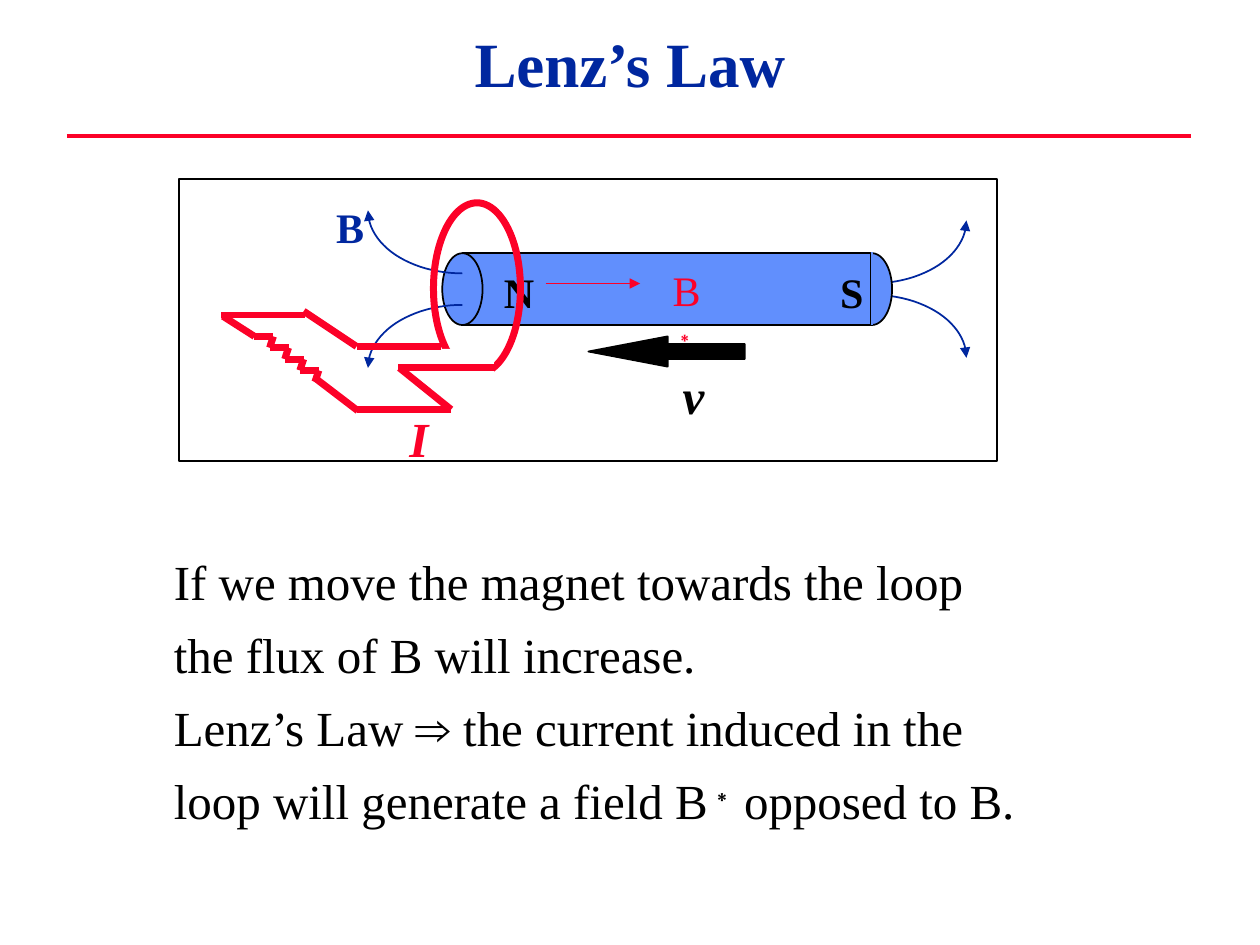
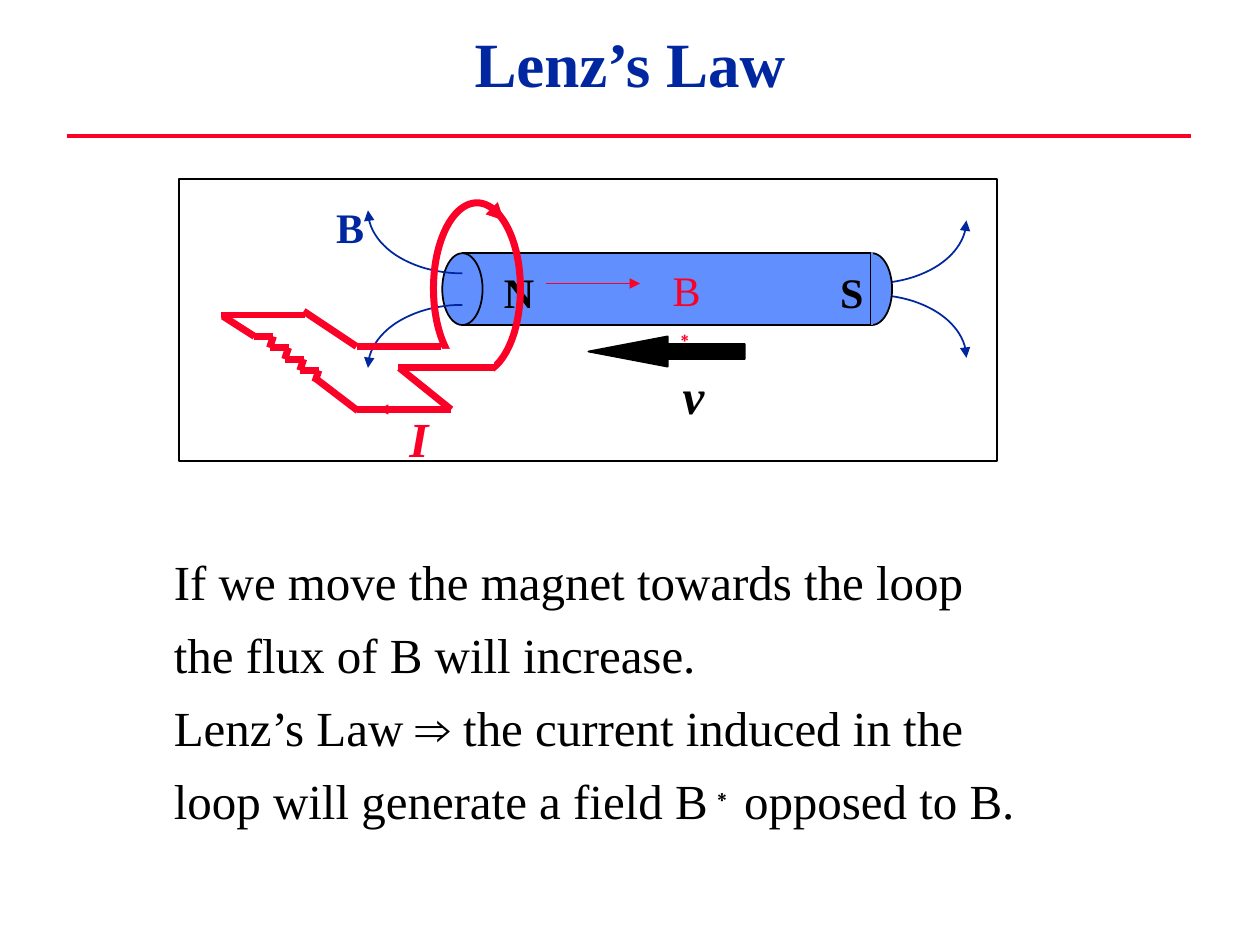
from math import cos, pi, sin
from itertools import pairwise

from lxml.etree import SubElement
from pptx import Presentation
from pptx.dml.color import RGBColor
from pptx.enum.shapes import MSO_CONNECTOR, MSO_SHAPE as SHAPE
from pptx.enum.text import MSO_ANCHOR as ANCHOR, MSO_AUTO_SIZE as FIT, PP_ALIGN as ALIGN
from pptx.oxml.ns import qn
from pptx.util import Pt

PX = 9144
COLORS = {"navy": "00279F", "red": "FC0128", "blue": "618FFD", "black": "000000", "white": "FFFFFF"}
SERIF, SANS = "Times New Roman", "Arial"
WIRE = 4

BODY = [
    [("If we move the magnet towards the loop", {})],
    [("the flux of B will increase.", {})],
    [("Lenz’s Law ", {}), ("⇒", {"font": SANS}), (" the current induced in the", {})],
    [("loop will generate a field B", {}), ("∗ ", {"font": SANS, "sup": True}), ("opposed to B.", {})],
]


def rgb(name):
    return RGBColor.from_string(COLORS[name])


def px(*lengths):
    return [round(n * PX) for n in lengths]


class Deck:
    def __init__(self):
        self.prs = Presentation()
        self.prs.slide_width, self.prs.slide_height = px(1000, 750)
        self.slide = None

    def new_slide(self):
        self.slide = self.prs.slides.add_slide(self.prs.slide_layouts[1])

    def run(self, p, text, size, color="black", font=SERIF, bold=False, italic=False, sup=False):
        r = p.add_run()
        r.text = text
        f = r.font
        f.size, f.name, f.bold, f.italic = Pt(size), font, bold, italic
        f.color.rgb = rgb(color)
        if sup:
            r._r.get_or_add_rPr().set("baseline", "30000")

    def place(self, sp, box, anchor):
        sp.left, sp.top, sp.width, sp.height = px(*box)
        tf = sp.text_frame
        tf.word_wrap, tf.auto_size, tf.vertical_anchor = True, FIT.NONE, anchor
        return tf

    def title(self, text):
        p = self.place(self.slide.shapes.title, (75, 8, 850, 83), ANCHOR.MIDDLE).paragraphs[0]
        p.alignment = ALIGN.CENTER
        self.run(p, text, 36, "navy", bold=True)

    def body(self, paragraphs):
        tf = self.place(self.slide.placeholders[1], (128, 433, 688, 250), ANCHOR.TOP)
        indent, = px(38)
        for i, runs in enumerate(paragraphs):
            p = tf.paragraphs[0] if i == 0 else tf.add_paragraph()
            pPr = p._p.get_or_add_pPr()
            pPr.set("marL", str(indent))
            pPr.set("indent", str(-indent))
            SubElement(pPr, qn("a:buNone"))
            p.space_before = Pt(8 if i else 0)
            for text, style in runs:
                self.run(p, text, 28, **style)

    def stroke(self, sp, color, width, head=None):
        sp.line.color.rgb = rgb(color)
        sp.line.width = Pt(width)
        if head:
            SubElement(sp.line._get_or_add_ln(), qn("a:tailEnd"), type="triangle", w=head, len=head)

    def line(self, start, end, color="red", width=WIRE, head=None):
        c = self.slide.shapes.add_connector(MSO_CONNECTOR.STRAIGHT, *px(*start, *end))
        self.stroke(c, color, width, head)
        SubElement(c._element.spPr, qn("a:effectLst"))

    def polyline(self, points):
        for start, end in pairwise(points):
            self.line(start, end)

    def shape(self, kind, box, fill=None, line=None, width=1):
        sp = self.slide.shapes.add_shape(kind, *px(*box))
        sp.shadow.inherit = False
        if fill:
            sp.fill.solid()
            sp.fill.fore_color.rgb = rgb(fill)
        else:
            sp.fill.background()
        if line:
            self.stroke(sp, line, width)
        else:
            sp.line.fill.background()
        return sp

    def field_line(self, pole, tip, steps=24):
        (x0, y0), (x1, y1) = pole, tip
        angles = [pi / 2 * i / steps for i in range(steps + 1)]
        points = [px(x0 + (x1 - x0) * sin(a), y1 + (y0 - y1) * cos(a)) for a in angles]
        fb = self.slide.shapes.build_freeform(*points[0])
        fb.add_line_segments(points[1:], close=False)
        sp = fb.convert_to_shape()
        sp.shadow.inherit = False
        sp.fill.background()
        self.stroke(sp, "navy", 1, "med")

    def label(self, box, *runs, wrap=False):
        tf = self.slide.shapes.add_textbox(*px(*box)).text_frame
        tf.word_wrap = wrap
        for text, size, style in runs:
            self.run(tf.paragraphs[0], text, size, **style)


def draw_resistor_and_leads(deck):
    zigzag = [(202, 267)]
    for i in range(8):
        dx, dy = (-3, 9) if i % 2 else (15, 0)
        zigzag.append((zigzag[-1][0] + dx, zigzag[-1][1] + dy))
    deck.polyline(zigzag)
    deck.line((283, 275), (241, 247))
    deck.polyline([(317, 292), (358, 325), (283, 325)])
    deck.line((242, 250), (175, 250))
    deck.line((202, 267), (177, 251))
    deck.line((284, 326), (250, 300))


def draw_magnet(deck):
    deck.field_line((692, 225), (767, 175))
    deck.field_line((692, 234), (767, 284))
    for kind, x, w in ((SHAPE.OVAL, 676, 32), (SHAPE.RECTANGLE, 367, 324), (SHAPE.OVAL, 351, 32)):
        deck.shape(kind, (x, 201, w, 57), "blue", "black")
    deck.line((692, 200), (692, 258), "blue", 1)
    for pole, x, w in (("N", 390, 44), ("S", 657, 38)):
        deck.label((x, 207, w, 50), (pole, 24, {"bold": True}))
    deck.field_line((367, 242), (292, 292))
    deck.field_line((367, 217), (292, 167))


def draw_loop(deck, current):
    deck.shape(SHAPE.OVAL, (344, 161, 69, 136), line="red", width=WIRE)
    deck.shape(SHAPE.RECTANGLE, (350, 277, 42, 24), "white")
    deck.line((392, 292), (316, 292))
    velocity = deck.shape(SHAPE.LEFT_ARROW, (467, 267, 124, 24), "black", "black")
    velocity.adjustments[0], velocity.adjustments[1] = 0.5, 2.62
    deck.line((342, 325), (300, 325), width=1, head="med" if current else None)
    deck.label((315, 319, 35, 56), ("I", 28, {"color": "red", "bold": True, "italic": True}))
    deck.label((532, 285, 37, 56), ("v", 28, {"bold": True, "italic": True}))
    deck.line((350, 275), (283, 275))
    deck.shape(SHAPE.RECTANGLE, (358, 298, 47, 10), "white")
    deck.label((257, 155, 42, 50), ("B", 24, {"color": "navy", "bold": True}))
    deck.line((433, 225), (508, 225), width=1, head="med")
    deck.label((524, 205, 47, 50), ("B", 24, {"color": "red"}),
               ("∗", 24, {"color": "red", "font": SANS, "sup": True}), wrap=True)
    if current:
        deck.line((392, 167), (400, 175), width=1, head="lg")


def lenz_slide(deck, current):
    deck.new_slide()
    deck.title("Lenz’s Law")
    deck.body(BODY)
    deck.line((53, 108), (945, 108), width=2.25)
    deck.shape(SHAPE.RECTANGLE, (142, 142, 649, 224), "white", "black")
    draw_resistor_and_leads(deck)
    draw_magnet(deck)
    draw_loop(deck, current)


def main():
    deck = Deck()
    for current in (False, True):
        lenz_slide(deck, current)
    deck.prs.save("out.pptx")


if __name__ == "__main__":
    main()
